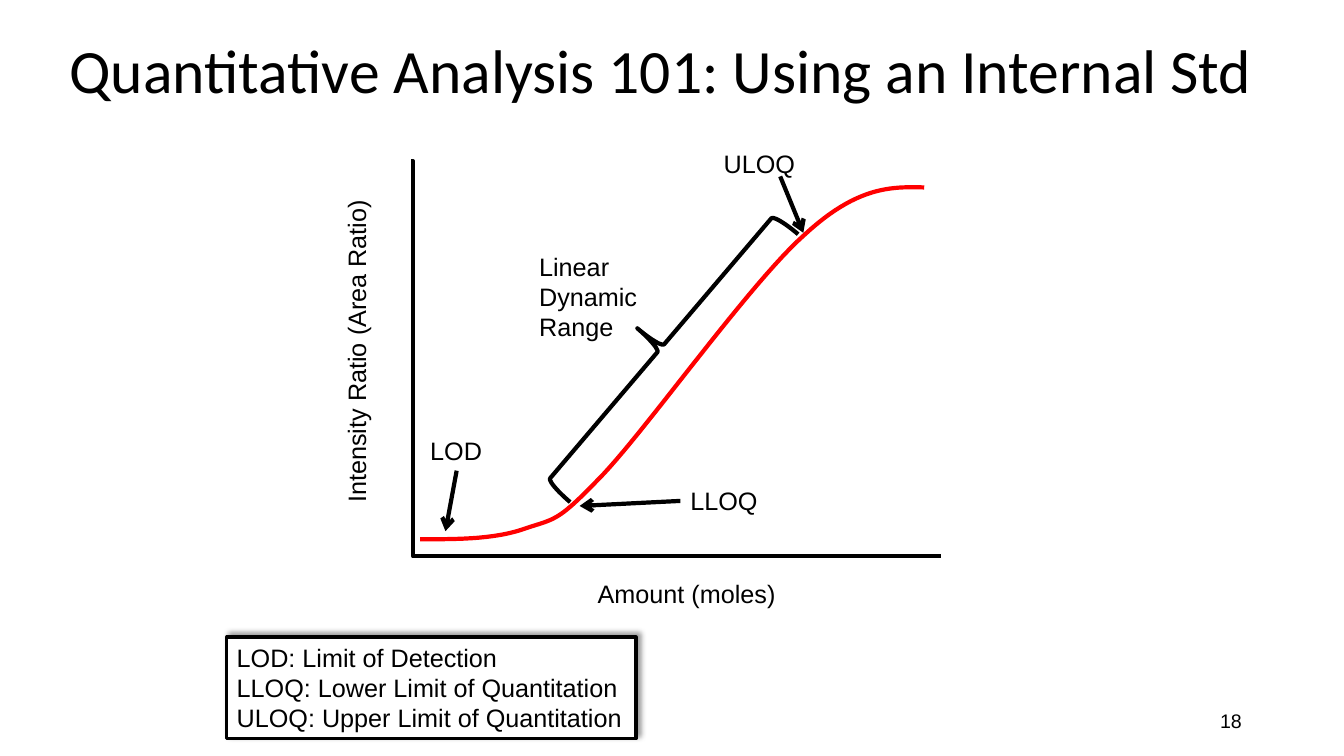
from lxml.etree import SubElement
from pptx import Presentation
from pptx.dml.color import RGBColor
from pptx.enum.shapes import MSO_CONNECTOR as LineKind, MSO_SHAPE as Preset
from pptx.enum.text import MSO_ANCHOR as Anchor, PP_ALIGN as Align
from pptx.oxml.ns import qn
from pptx.util import Pt

COLORS = {"ink": "000000", "curve": "FF0000", "paper": "FFFFFF"}
BODY = {"name": "Arial", "size": Pt(18)}
HEADING = {"name": "Calibri", "size": Pt(44)}
PAGE = {"name": "Arial", "size": Pt(14)}
MIDDLE = {"vertical_anchor": Anchor.MIDDLE, "word_wrap": True}
ONE_LINE = {"word_wrap": False}
WRAPPED = {"word_wrap": True}

LABELS = [
    ("Quantitative Analysis 101: Using an Internal Std", (42.5, 0, 880.5, 104.4),
     HEADING, MIDDLE, {"line_spacing": 0.9}, 0),
    ("18", (678.2, 500.4, 216, 28.8), PAGE, MIDDLE, {"alignment": Align.RIGHT}, 0),
    ("Amount (moles)", (419.8, 409.7, 142.6, 28.8), BODY, ONE_LINE, {}, 0),
    ("Intensity Ratio (Area Ratio)", (138.2, 235.4, 232.6, 28.8), BODY, ONE_LINE, {}, 270),
    ("LOD", (300.2, 307.4, 51.8, 28.8), BODY, ONE_LINE, {}, 0),
    ("LLOQ", (486, 343.4, 63.4, 28.8), BODY, ONE_LINE, {}, 0),
    ("ULOQ", (509.8, 102.2, 66.2, 28.8), BODY, ONE_LINE, {}, 0),
    ("Linear Dynamic Range", (378, 175.7, 90, 72.7), BODY, WRAPPED, {}, 0),
]
POINTERS = [
    (326.2, 336.2, 318.2, 379.4),
    (486, 357.8, 414, 361.4),
    (557.3, 126, 573.8, 166.3),
]
AXES = (293.8, 115.2, 671.8, 397.4)
CURVE_START = (300.2, 385.2)
CURVE_BENDS = [
    ((327.6, 385.2), (354.2, 385.2), (375.8, 377.3)),
    ((397.4, 370.1), (398.2, 373), (431.3, 338.4)),
    ((464.4, 303.1), (536.4, 201.6), (574.6, 167.8)),
    ((612, 133.2), (636.5, 133.2), (660.2, 133.9)),
]
CURVE_STEPS = 24
BRACE = (450, 123.1, 43.9, 251.3)
BRACE_ANGLE = 40.4
LEGEND = [
    "LOD: Limit of Detection",
    "LLOQ: Lower Limit of Quantitation",
    "ULOQ: Upper Limit of Quantitation",
]
LEGEND_BOX = (162, 455, 292.3, 72.7)
LEGEND_SHADOW = {"blurRad": Pt(4), "dist": Pt(3), "dir": 315 * 60000,
                 "algn": "bl", "rotWithShape": 0}


def points(values):
    return [Pt(value) for value in values]


def color(name):
    return RGBColor.from_string(COLORS[name])


def apply(target, formats):
    for key, value in formats.items():
        setattr(target, key, value)


def outline(part, name="ink", width=3):
    part.line.color.rgb = color(name)
    part.line.width = Pt(width)


def write(part, lines, font, frame_format, paragraph_format):
    frame = part.text_frame
    apply(frame, frame_format)
    frame.text = "\n".join(lines)
    for paragraph in frame.paragraphs:
        apply(paragraph, paragraph_format)
        apply(paragraph.font, font)
        paragraph.font.color.rgb = color("ink")


def connect(shapes, kind, ends):
    line = shapes.add_connector(kind, *points(ends))
    outline(line)
    SubElement(line._element.spPr, qn("a:effectLst"))
    return line


def bezier(start, first, second, end):
    for step in range(1, CURVE_STEPS + 1):
        t = step / CURVE_STEPS
        weights = ((1 - t) ** 3, 3 * t * (1 - t) ** 2, 3 * t * t * (1 - t), t ** 3)
        yield tuple(
            Pt(sum(w * v for w, v in zip(weights, values)))
            for values in zip(start, first, second, end)
        )


def draw_axes(shapes):
    axes = connect(shapes, LineKind.ELBOW, AXES)
    guides = axes._element.spPr.find(qn("a:prstGeom")).get_or_add_avLst()
    SubElement(guides, qn("a:gd"), name="adj1", fmla="val 300")


def draw_curve(shapes):
    builder = shapes.build_freeform(*points(CURVE_START))
    start = CURVE_START
    for bend in CURVE_BENDS:
        builder.add_line_segments(list(bezier(start, *bend)), close=False)
        start = bend[-1]
    curve = builder.convert_to_shape()
    curve.shadow.inherit = False
    curve.fill.background()
    outline(curve, "curve")


def draw_pointers(shapes):
    for ends in POINTERS:
        pointer = connect(shapes, LineKind.STRAIGHT, ends)
        SubElement(pointer.line._get_or_add_ln(), qn("a:tailEnd"), type="arrow")


def draw_brace(shapes):
    brace = shapes.add_shape(Preset.LEFT_BRACE, *points(BRACE))
    brace.shadow.inherit = False
    brace.rotation = BRACE_ANGLE
    brace.fill.background()
    outline(brace)


def draw_legend(shapes):
    legend = shapes.add_shape(Preset.RECTANGLE, *points(LEGEND_BOX))
    legend.shadow.inherit = False
    legend.fill.solid()
    legend.fill.fore_color.rgb = color("paper")
    outline(legend, width=2.25)
    effects = legend._element.spPr.find(qn("a:effectLst"))
    settings = {key: str(value) for key, value in LEGEND_SHADOW.items()}
    shadow = SubElement(effects, qn("a:outerShdw"), settings)
    tint = SubElement(shadow, qn("a:srgbClr"), val=COLORS["ink"])
    SubElement(tint, qn("a:alpha"), val="40000")
    write(legend, LEGEND, BODY, ONE_LINE | {"vertical_anchor": Anchor.TOP},
          {"alignment": Align.LEFT})


def main():
    deck = Presentation()
    deck.slide_width, deck.slide_height = points((960, 540))
    shapes = deck.slides.add_slide(deck.slide_layouts[6]).shapes
    draw_axes(shapes)
    draw_curve(shapes)
    for words, box, font, frame_format, paragraph_format, angle in LABELS:
        label = shapes.add_textbox(*points(box))
        label.rotation = angle
        write(label, [words], font, frame_format, paragraph_format)
    draw_pointers(shapes)
    draw_brace(shapes)
    draw_legend(shapes)
    deck.save("out.pptx")


if __name__ == "__main__":
    main()
